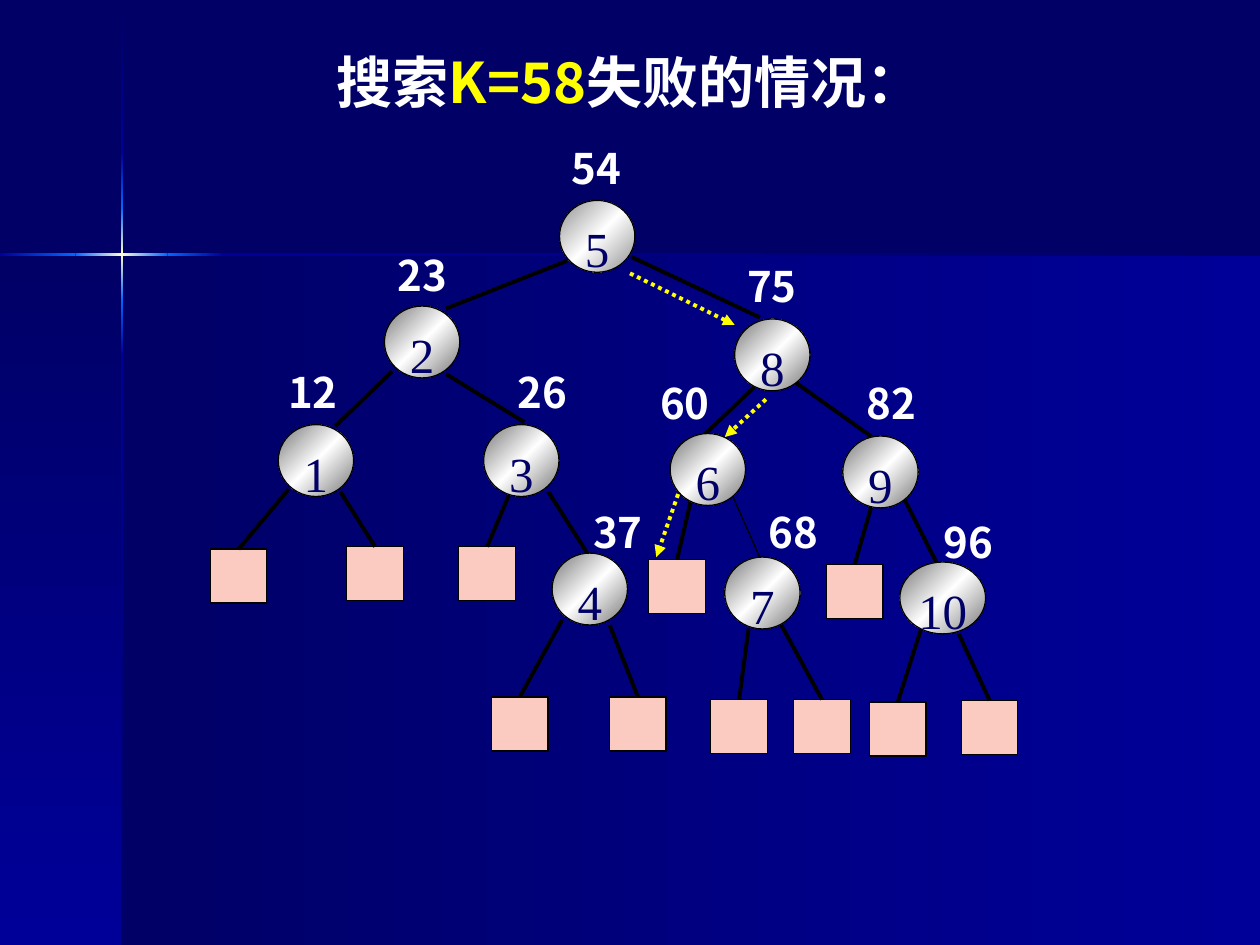
from dataclasses import dataclass
from itertools import pairwise
from typing import NamedTuple

from lxml.etree import SubElement
from pptx import Presentation
from pptx.dml.color import RGBColor
from pptx.enum.dml import MSO_LINE
from pptx.enum.shapes import MSO_CONNECTOR, MSO_SHAPE
from pptx.enum.text import MSO_ANCHOR, MSO_AUTO_SIZE, PP_ALIGN
from pptx.oxml import parse_xml
from pptx.oxml.ns import nsdecls, qn
from pptx.util import Cm, Pt


@dataclass(frozen=True)
class Theme:
    navy: str = "000066"
    blue: str = "000099"
    glow: str = "0066FF"
    spark: str = "FFFFCC"
    white: str = "FFFFFF"
    black: str = "000000"
    gray: str = "767676"
    pale: str = "909090"
    pink: str = "FBCBC1"
    yellow: str = "FFFF00"
    sans: str = "Noto Sans CJK SC"
    serif: str = "Times New Roman"
    head: int = 32
    digit: int = 28
    key: int = 24
    thin: float = 0.75
    thick: float = 2.25


class Node(NamedTuple):
    name: str
    x: float
    y: float
    key: str
    key_x: float
    key_y: float
    wide: float = 1.52
    rim: str = Theme.gray


class Leaf(NamedTuple):
    x: float
    y: float
    from_x: float
    from_y: float


class Link(NamedTuple):
    x1: float
    y1: float
    x2: float
    y2: float
    width: float = Theme.thick


T = Theme()
NODE_H = 1.45
LEAF_W, LEAF_H = 1.14, 1.09
KEY_W, KEY_H = 1.55, 1.27

NODES = [
    Node("4", 11.13, 11.15, "37", 11.71, 10.08),
    Node("5", 11.28, 4.04, "54", 11.28, 2.74, rim=T.pale),
    Node("2", 7.75, 6.17, "23", 7.77, 4.9),
    Node("8", 14.81, 6.43, "75", 14.81, 5.13),
    Node("1", 5.61, 8.56, "12", 5.56, 7.26),
    Node("3", 9.75, 8.56, "26", 10.19, 7.26),
    Node("6", 13.51, 8.74, "60", 13.06, 7.49),
    Node("9", 16.99, 8.79, "82", 17.22, 7.49),
    Node("7", 14.61, 11.23, "68", 15.24, 10.08),
    Node("10", 18.14, 11.33, "96", 18.77, 10.29, wide=1.73),
]
LEAVES = [
    Leaf(4.24, 11.07, 5.82, 9.86),
    Leaf(6.99, 11.02, 6.86, 9.91),
    Leaf(9.25, 11.02, 10.29, 9.91),
    Leaf(13.08, 11.28, 13.94, 10.03),
    Leaf(16.66, 11.38, 17.58, 10.16),
    Leaf(9.91, 14.05, 11.33, 12.5),
    Leaf(12.29, 14.05, 12.29, 12.6),
    Leaf(14.33, 14.1, 15.09, 12.67),
    Leaf(16, 14.1, 15.75, 12.6),
    Leaf(17.53, 14.15, 18.57, 12.67),
    Leaf(19.38, 14.12, 19.33, 12.78),
]
LINKS = [
    Link(12.73, 5.18, 15.32, 6.4),
    Link(11.43, 5.26, 8.99, 6.22),
    Link(7.9, 7.49, 6.76, 8.59),
    Link(8.99, 7.54, 10.57, 8.51),
    Link(15.29, 7.72, 14.15, 8.81),
    Link(16.05, 7.72, 17.58, 8.81),
    Link(11.05, 9.91, 11.89, 11.23),
    Link(14.76, 9.98, 15.39, 11.4, T.thin),
    Link(18.24, 10.08, 18.95, 11.48),
]
STEPS = [
    Link(12.7, 5.51, 14.81, 6.55),
    Link(15.44, 8.05, 14.61, 8.81),
    Link(13.67, 9.96, 13.23, 11.23),
]


def tint(code: str) -> RGBColor:
    return RGBColor.from_string(code)


def write(para, text: str, size: int, face: str, code: str, bold: bool = False) -> None:
    run = para.add_run()
    run.text = text
    font = run.font
    font.size, font.name, font.bold = Pt(size), face, bold
    font.color.rgb = tint(code)
    SubElement(run._r.get_or_add_rPr(), qn("a:ea"), typeface=face)


def block(slide, kind, x: float, y: float, w: float, h: float):
    shape = slide.shapes.add_shape(kind, Cm(x), Cm(y), Cm(w), Cm(h))
    shape.shadow.inherit = False
    shape.line.fill.background()
    return shape


def border(shape) -> None:
    shape.line.color.rgb = tint(T.black)
    shape.line.width = Pt(T.thin)


def shade(shape, codes: list[str], angle: int) -> None:
    """Fill with evenly spaced gradient stops."""
    gap = 100000 // (len(codes) - 1)
    stops = "".join(f'<a:gs pos="{i * gap}"><a:srgbClr val="{code}"/></a:gs>'
                    for i, code in enumerate(codes))
    shape.fill.background()
    props = shape.element.spPr
    props.replace(props.find(qn("a:noFill")), parse_xml(
        f'<a:gradFill {nsdecls("a")} rotWithShape="1"><a:gsLst>{stops}</a:gsLst>'
        f'<a:lin ang="{angle * 60000}" scaled="0"/></a:gradFill>'))


def draw_line(slide, link: Link, code: str, leaf=None, arrow: bool = False) -> None:
    line = slide.shapes.add_connector(
        MSO_CONNECTOR.STRAIGHT, *(Cm(v) for v in link[:4]))
    if leaf is not None:
        line.end_connect(leaf, 0)
    line.line.color.rgb = tint(code)
    line.line.width = Pt(link.width)
    props = line.element.spPr
    if arrow:
        line.line.dash_style = MSO_LINE.ROUND_DOT
        SubElement(props.find(qn("a:ln")), qn("a:tailEnd"), type="triangle")
    SubElement(props, qn("a:effectLst"))


def draw_back(slide) -> None:
    slide.background.fill.solid()
    slide.background.fill.fore_color.rgb = tint(T.navy)
    rect = MSO_SHAPE.RECTANGLE
    shade(block(slide, rect, 2.46, 5.13, 22.94, 13.92), [T.navy, T.blue], 0)
    shade(block(slide, rect, 0, 5.13, 2.46, 13.92), [T.navy, T.blue], 90)
    # Thin beams crossing at the spark
    rise, star = [T.blue, T.glow], [T.glow, T.spark, T.glow]
    beams = [rise, star, rise[::-1], [T.blue, T.navy]]
    down = pairwise([0.03, 3.07, 4.19, 6.05, 7.16, 19.05])
    for (top, end), codes in zip(down, [[T.navy, T.blue], *beams]):
        shade(block(slide, rect, 2.44, top, 0.05, end - top), codes, 90)
    across = pairwise([0, 1.52, 3.38, 4.5, 25.4])
    for (left, end), codes in zip(across, beams):
        shade(block(slide, rect, left, 5.11, end - left, 0.05), codes, 0)


def draw_head(slide) -> None:
    title = slide.shapes.title
    title.left, title.top, title.width, title.height = Cm(0), Cm(0.84), Cm(25.4), Cm(2)
    frame = title.text_frame
    frame.auto_size = MSO_AUTO_SIZE.NONE
    frame.vertical_anchor = MSO_ANCHOR.TOP
    para = frame.paragraphs[0]
    para.alignment = PP_ALIGN.CENTER
    for text, code in [("搜索", T.white), ("K=58", T.yellow), ("失败的情况：", T.white)]:
        write(para, text, T.head, T.sans, code, True)


def draw_leaf(slide, leaf: Leaf) -> None:
    box = block(slide, MSO_SHAPE.RECTANGLE, leaf.x, leaf.y, LEAF_W, LEAF_H)
    box.fill.solid()
    box.fill.fore_color.rgb = tint(T.pink)
    border(box)
    draw_line(slide, Link(leaf.from_x, leaf.from_y, leaf.x, leaf.y), T.black, box)


def draw_node(slide, node: Node) -> None:
    ball = block(slide, MSO_SHAPE.OVAL, node.x, node.y, node.wide, NODE_H)
    shade(ball, [node.rim, T.white, node.rim], 45)
    border(ball)
    frame = ball.text_frame
    frame.word_wrap = False
    frame.vertical_anchor = MSO_ANCHOR.TOP
    frame.margin_left = frame.margin_right = Cm(0.05)
    frame.margin_top, frame.margin_bottom = Cm(0.16), Cm(0)
    para = frame.paragraphs[0]
    para.alignment = PP_ALIGN.CENTER
    write(para, node.name, T.digit, T.serif, T.navy)


def draw_key(slide, node: Node) -> None:
    box = slide.shapes.add_textbox(Cm(node.key_x), Cm(node.key_y), Cm(KEY_W), Cm(KEY_H))
    frame = box.text_frame
    frame.word_wrap = True
    frame.vertical_anchor = MSO_ANCHOR.MIDDLE
    write(frame.paragraphs[0], node.key, T.key, T.sans, T.white, True)


def main() -> None:
    deck = Presentation()
    deck.slide_width, deck.slide_height = Cm(25.4), Cm(19.05)
    slide = deck.slides.add_slide(deck.slide_layouts[5])
    draw_back(slide)
    draw_head(slide)
    # Search tree
    for leaf in LEAVES:
        draw_leaf(slide, leaf)
    for link in LINKS:
        draw_line(slide, link, T.black)
    for node in NODES:
        draw_node(slide, node)
    for node in NODES:
        draw_key(slide, node)
    # Path of the failed search
    for step in STEPS:
        draw_line(slide, step, T.yellow, arrow=True)
    deck.save("out.pptx")


if __name__ == "__main__":
    main()
